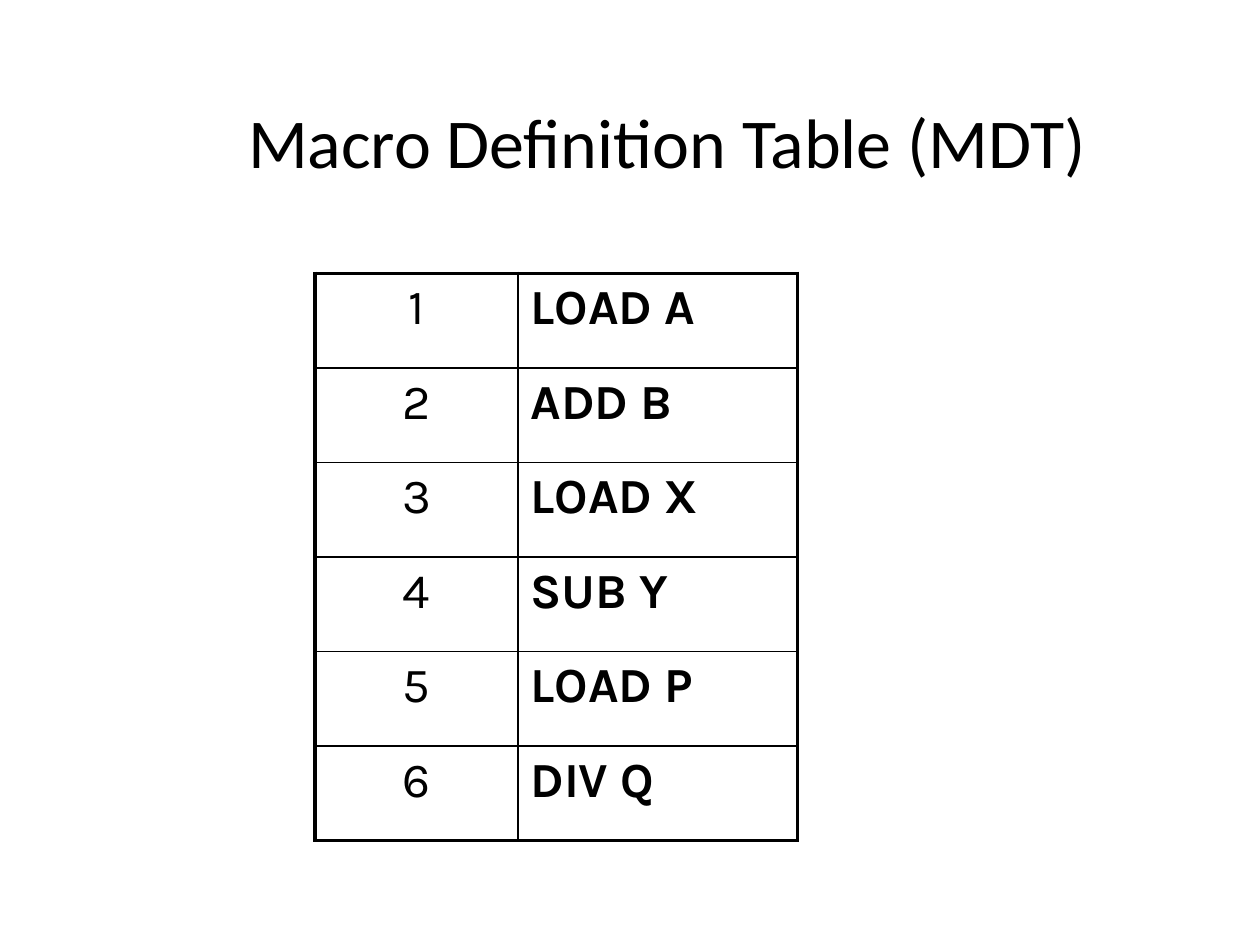
from dataclasses import dataclass

from lxml import etree
from pptx import Presentation
from pptx.dml.color import RGBColor
from pptx.enum.text import MSO_ANCHOR, PP_ALIGN
from pptx.oxml.ns import qn
from pptx.table import Table, _Cell
from pptx.util import Cm, Pt

BLACK = RGBColor(0, 0, 0)
LEFT, CENTER = PP_ALIGN.LEFT, PP_ALIGN.CENTER
MIDDLE = MSO_ANCHOR.MIDDLE
THIN, THICK = Pt(1), Pt(2.25)


@dataclass
class Column:
    width: int
    align: PP_ALIGN
    bold: bool


COLUMNS = [Column(Cm(4.09), CENTER, False), Column(Cm(5.64), LEFT, True)]
CODE = ["LOAD A", "ADD B", "LOAD X", "SUB Y", "LOAD P", "DIV Q"]


def add_run(para, text: str, font: str, size: int, bold: bool) -> None:
    run = para.add_run()
    run.text = text
    run.font.name = font
    run.font.size = Pt(size)
    run.font.bold = bold
    run.font.color.rgb = BLACK


def add_edge(cell: _Cell, side: str, width: int) -> None:
    props = cell._tc.get_or_add_tcPr()
    line = etree.SubElement(props, qn(f"a:ln{side}"), w=str(width))
    fill = etree.SubElement(line, qn("a:solidFill"))
    etree.SubElement(fill, qn("a:srgbClr"), val=str(BLACK))


def set_space(para, percent: int) -> None:
    """Set the space before a paragraph as a share of its line."""
    props = para._p.get_or_add_pPr()
    space = etree.SubElement(props, qn("a:spcBef"))
    etree.SubElement(space, qn("a:spcPct"), val=str(percent * 1000))


def fill_cell(table: Table, row: int, col: int, text: str) -> None:
    cell = table.cell(row, col)
    outer = {
        "L": col == 0,
        "R": col == len(COLUMNS) - 1,
        "T": row == 0,
        "B": row == len(CODE) - 1,
    }
    for side, thick in outer.items():
        add_edge(cell, side, THICK if thick else THIN)
    cell.fill.background()
    para = cell.text_frame.paragraphs[0]
    para.alignment = COLUMNS[col].align
    set_space(para, 20)
    add_run(para, text, "Karla", 28, COLUMNS[col].bold)


def add_title(slide, text: str) -> None:
    title = slide.shapes.title
    title.left, title.top = Cm(2.97), Cm(0.84)
    title.width, title.height = Cm(20.96), Cm(3.99)
    frame = title.text_frame
    frame.vertical_anchor = MIDDLE
    para = frame.paragraphs[0]
    para.alignment = CENTER
    add_run(para, text, "Calibri", 40, False)


def add_macros(slide) -> None:
    width = sum(column.width for column in COLUMNS)
    table = slide.shapes.add_table(
        len(CODE), len(COLUMNS), Cm(6.35), Cm(5.51), width, Cm(11.43)
    ).table
    table.first_row = table.horz_banding = False
    for col, column in enumerate(COLUMNS):
        table.columns[col].width = column.width
    for row, code in enumerate(CODE):
        for col, text in enumerate((str(row + 1), code)):
            fill_cell(table, row, col, text)


def main() -> None:
    deck = Presentation()
    deck.slide_width, deck.slide_height = Cm(25.4), Cm(19.05)
    slide = deck.slides.add_slide(deck.slide_layouts.get_by_name("Title Only"))
    add_title(slide, "Macro Definition Table (MDT)")
    add_macros(slide)
    deck.save("out.pptx")


if __name__ == "__main__":
    main()
